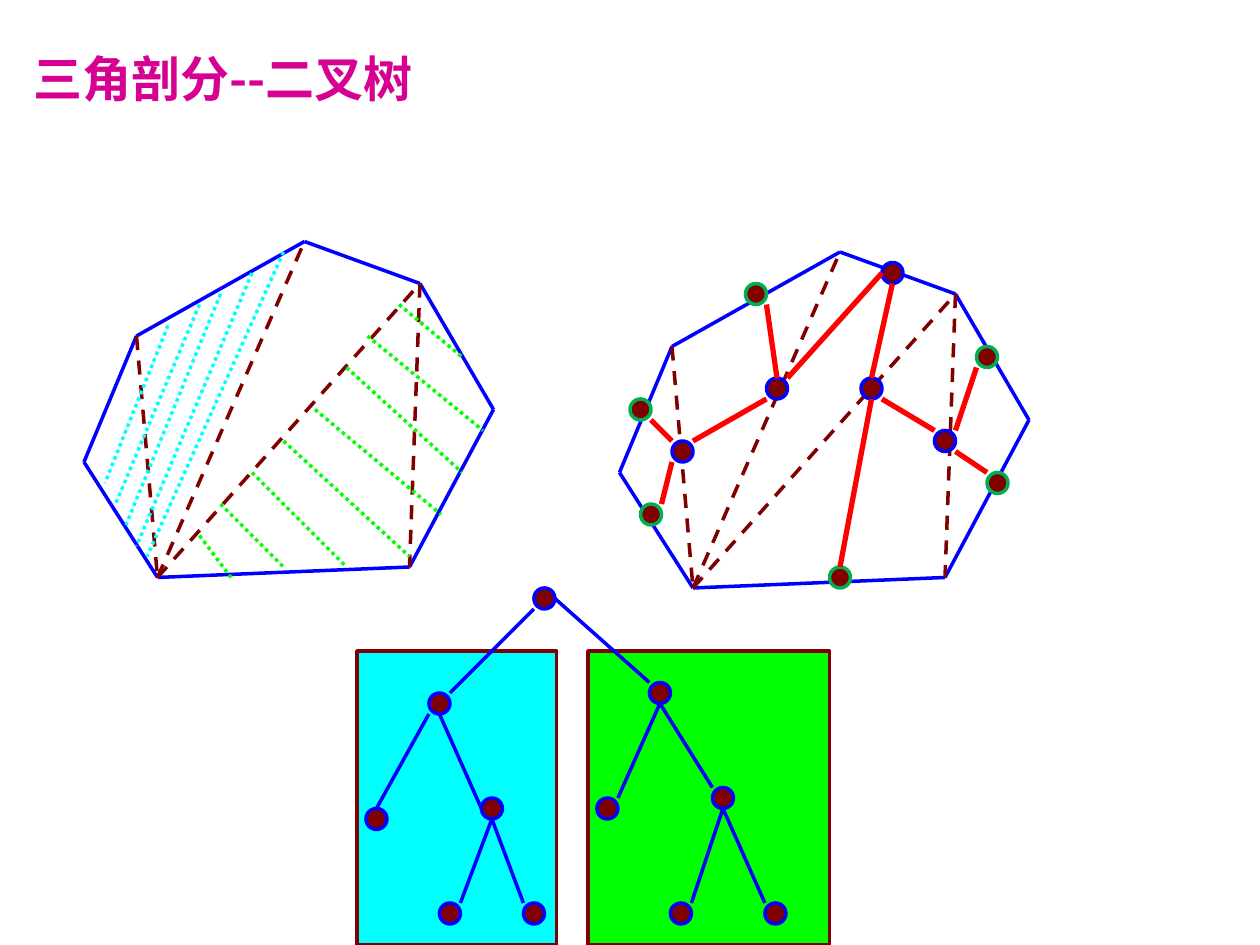
from pptx import Presentation, util as u
from pptx.dml.color import RGBColor
from pptx.enum import dml, shapes, text
from pptx.oxml.ns import qn
from lxml import etree

CELL = 1 / 12
BLUE, MAROON, RED, LEAF = "0000FF", "800000", "FF0000", "00B050"
CYAN, GREEN = "00FFFF", "00FF00"
DASH, DOT = dml.MSO_LINE.DASH, dml.MSO_LINE.ROUND_DOT

title = "三角剖分--二叉树"
font = {"name": "Noto Sans CJK SC", "size": u.Pt(28), "bold": True}
boxes = [(56, 62, 23, 28, GREEN), (34, 62, 19, 28, CYAN)]

corners = [(15, 55), (8, 44), (13, 32), (29, 23), (40, 27), (47, 39), (39, 54)]
chords = [(2, 0), (0, 3), (4, 6), (0, 4)]
shifts = [(0, 0), (51, 1)]

inner = [(84, 25), (73, 36), (82, 36), (64, 42), (89, 41)]
outer = [(71, 27), (60, 38), (61, 48), (93, 33), (79, 54), (94, 45)]
links = [
    (75, 36, 84, 26), (85, 27, 83, 36), (73, 29, 74, 36), (66, 42, 73, 38),
    (62, 40, 64, 42), (64, 44, 63, 48), (83, 38, 80, 54), (84, 38, 89, 41),
    (91, 41, 93, 35), (91, 43, 94, 45),
]

tree_x = -0.15
nodes = [
    (51, 56), (41, 66), (62, 65), (35, 77), (46, 76), (42, 86),
    (50, 86), (57, 76), (68, 75), (64, 86), (73, 86),
]
edges = [
    (51, 58, 43, 66), (53, 57, 62, 65), (41, 68, 36, 77), (42, 68, 46, 77),
    (63, 67, 59, 76), (63, 67, 68, 75), (47, 78, 44, 86), (47, 78, 50, 86),
    (69, 77, 66, 86), (69, 77, 73, 86),
]

hatches = {
    CYAN: [
        (16, 31, 10, 46), (19, 29, 11, 48), (21, 28, 12, 50),
        (24, 26, 13, 52), (27, 24, 14, 53),
    ],
    GREEN: [
        (19, 51, 22, 55), (21, 48, 27, 54), (24, 45, 33, 54), (27, 42, 39, 53),
        (30, 39, 42, 49), (33, 35, 44, 45), (35, 32, 46, 41), (38, 29, 44, 34),
    ],
}

deck = Presentation()
deck.slide_width, deck.slide_height = u.Inches(10), u.Inches(7.5)
slide = deck.slides.add_slide(deck.slide_layouts[6])


def grid(*cells):
    return [u.Inches(c * CELL) for c in cells]


def color(code):
    return RGBColor.from_string(code)


def line(x1, y1, x2, y2, code, width=2, dash=None):
    item = slide.shapes.add_connector(
        shapes.MSO_CONNECTOR.STRAIGHT, *grid(x1, y1, x2, y2))
    item.line.color.rgb = color(code)
    item.line.width = u.Pt(width)
    if dash:
        item.line.dash_style = dash
    etree.SubElement(item._element.spPr, qn("a:effectLst"))


def shape(kind, x, y, w, h, fill, edge):
    item = slide.shapes.add_shape(kind, *grid(x, y, w, h))
    item.shadow.inherit = False
    item.fill.solid()
    item.fill.fore_color.rgb = color(fill)
    item.line.color.rgb = color(edge)
    item.line.width = u.Pt(2)


def node(x, y, edge=BLUE):
    shape(shapes.MSO_SHAPE.OVAL, x, y, 2, 2, MAROON, edge)


for x, y, w, h, fill in boxes:
    shape(shapes.MSO_SHAPE.RECTANGLE, x, y, w, h, fill, MAROON)

frame = slide.shapes.add_textbox(*grid(2, 4, 58, 6.8)).text_frame
frame.word_wrap = True
frame.vertical_anchor = text.MSO_ANCHOR.MIDDLE
run = frame.paragraphs[0].add_run()
run.text = title
for key, value in font.items():
    setattr(run.font, key, value)
run.font.color.rgb = color("D60093")
etree.SubElement(run.font._element, qn("a:ea"), typeface=font["name"])

for dx, dy in shifts:
    ring = [(x + dx, y + dy) for x, y in corners]
    for a, b in zip(ring, ring[1:] + ring[:1]):
        line(*a, *b, BLUE)
    for a, b in chords:
        line(*ring[a], *ring[b], MAROON, dash=DASH)

for x, y in inner:
    node(x, y)
for x, y in outer:
    node(x, y, LEAF)
for ends in links:
    line(*ends, RED, 3)

for x1, y1, x2, y2 in edges:
    line(x1 + tree_x, y1, x2 + tree_x, y2, BLUE)
for x, y in nodes:
    node(x + tree_x, y)

for code, rows in hatches.items():
    for ends in rows:
        line(*ends, code, dash=DOT)

deck.save("out.pptx")
